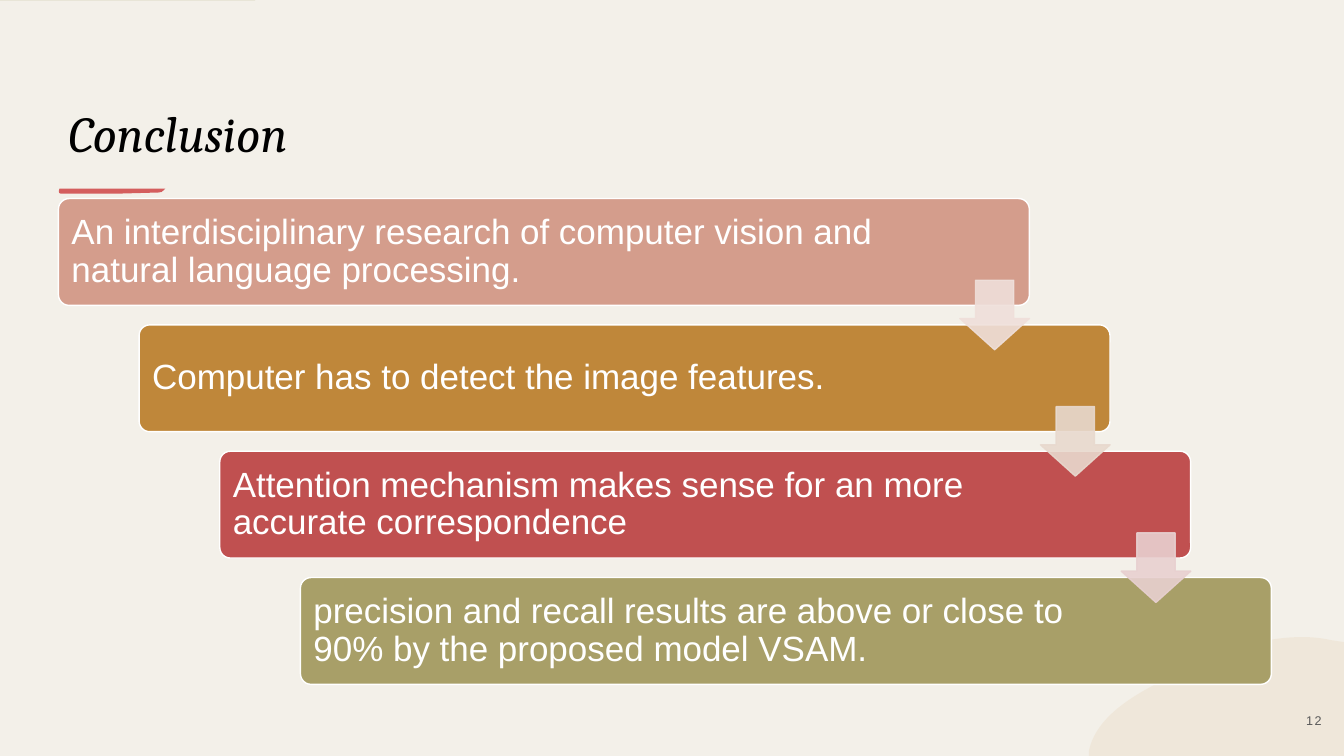
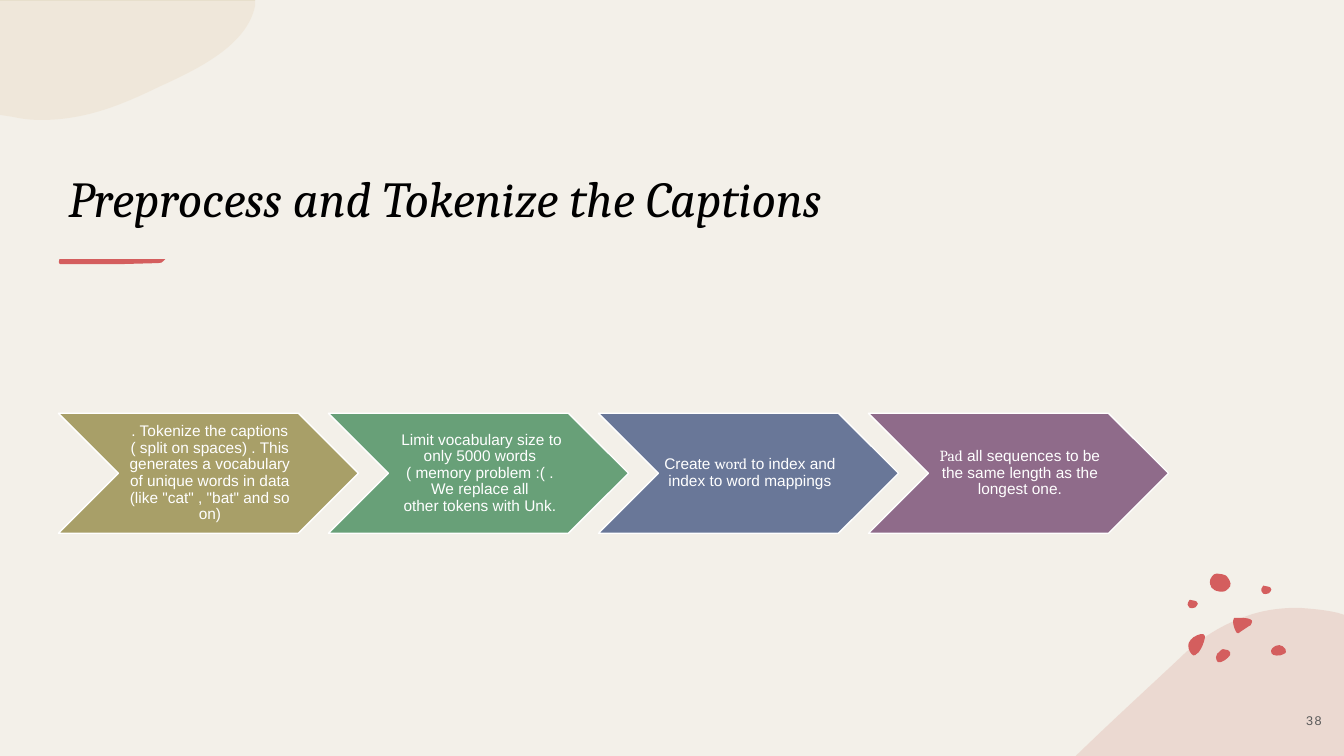
from dataclasses import dataclass

from lxml import etree
from pptx import Presentation
from pptx.dml.color import RGBColor
from pptx.enum import shapes, text
from pptx.oxml import ns
from pptx.util import Inches, Pt


@dataclass(frozen=True)
class Theme:
    """Colours, fonts and type sizes shared by the slides."""
    width: float = 13.33
    height: float = 7.5
    paper: str = "F3F0E9"
    ink: str = "000000"
    muted: str = "595959"
    white: str = "FFFFFF"
    accent: str = "D45E5E"
    sand: str = "E7CFAF"
    edge: str = "DCD9C3"
    blush: str = "E5C4BA"
    head: str = "Cambria"
    body: str = "Arial"
    title_size: float = 36
    bar_size: float = 25
    step_size: float = 11
    number_size: float = 9


T = Theme()
NBSP = chr(160)

CORNER = [(0, 0), (2.53, 0), (2.53, 0.06), (2.45, 0.44, 2, 0.67, 1.58, 0.86),
          (1.23, 1.03, 0.86, 1.19, 0.41, 1.19),
          (0.31, 1.19, 0.22, 1.18, 0.13, 1.16), (0, 1.14)]
HILL = [(2.21, 0), (2.34, 0.01, 2.47, 0.02, 2.6, 0.05), (2.66, 0.07),
        (2.66, 1.47), (0, 1.47), (0.01, 1.46),
        (0.35, 1.13, 0.7, 0.81, 1.02, 0.51),
        (1.24, 0.29, 1.47, 0.16, 1.7, 0.08), (1.87, 0.02, 2.04, 0, 2.21, 0)]
STROKE = [(0.01, 0), (0.3, 0), (1.06, 0),
          (1.03, 0.01, 1.05, 0.04, 0.99, 0.04), (0.62, 0.05), (0.02, 0.05),
          (0, 0.05, 0, 0.01, 0.01, 0)]
PEBBLE = [(0, 0.05), (0, 0.05, 0, 0.01, 0.02, 0),
          (0.04, 0, 0.05, 0, 0.07, 0.01), (0.08, 0.01, 0.1, 0.02, 0.1, 0.04),
          (0.1, 0.05, 0.09, 0.06, 0.08, 0.07),
          (0.08, 0.07, 0.08, 0.08, 0.06, 0.08),
          (0.05, 0.08, 0.03, 0.09, 0.02, 0.08), (0.01, 0.06, 0, 0.06, 0, 0.05)]
BEAN = [(0.07, 0), (0.09, 0, 0.1, 0, 0.12, 0.01),
        (0.14, 0.02, 0.15, 0.04, 0.14, 0.06),
        (0.12, 0.09, 0.06, 0.14, 0.02, 0.13), (0.01, 0.12, 0, 0.1, 0, 0.08),
        (0, 0.06, 0.02, 0.03, 0.04, 0.02), (0.05, 0.01, 0.06, 0, 0.07, 0)]
LEAF = [(0.12, 0), (0.14, 0, 0.16, 0, 0.16, 0.02),
        (0.16, 0.03, 0.16, 0.03, 0.16, 0.04),
        (0.15, 0.09, 0.13, 0.14, 0.1, 0.18),
        (0.08, 0.2, 0.05, 0.23, 0.03, 0.2), (0, 0.17, -0.01, 0.12, 0, 0.09),
        (0.01, 0.06, 0.03, 0.05, 0.05, 0.03), (0.06, 0.03, 0.09, 0, 0.12, 0)]
SEED = [(0.08, 0), (0.1, 0, 0.13, 0.02, 0.14, 0.04),
        (0.15, 0.06, 0.15, 0.08, 0.12, 0.09), (0.09, 0.11, 0.01, 0.11, 0, 0.08),
        (-0.01, 0.06, 0, 0.04, 0.01, 0.03), (0.03, 0.01, 0.05, 0, 0.08, 0)]
STONE = [(0.01, 0.12), (0, 0.12, -0.01, 0.06, 0.02, 0.03),
         (0.04, 0.01, 0.04, 0, 0.07, 0), (0.1, 0, 0.14, 0.01, 0.16, 0.02),
         (0.18, 0.04, 0.22, 0.09, 0.2, 0.13),
         (0.17, 0.16, 0.16, 0.18, 0.12, 0.18),
         (0.09, 0.18, 0.04, 0.17, 0.03, 0.15),
         (0.01, 0.14, 0.01, 0.13, 0.01, 0.12)]
WEDGE = [(0.05, 0), (0.11, 0, 0.22, 0, 0.18, 0.06),
         (0.18, 0.07, 0.17, 0.08, 0.16, 0.08),
         (0.13, 0.1, 0.1, 0.12, 0.07, 0.14),
         (0.06, 0.15, 0.05, 0.16, 0.04, 0.15),
         (0.04, 0.15, 0.03, 0.14, 0.03, 0.14),
         (0.01, 0.1, 0, 0.07, 0, 0.03), (0, 0.02, 0, 0.01, 0.01, 0)]
SPECKLES = [(BEAN, 0.28, 0.75), (LEAF, 0.01, 0.6), (SEED, 0.83, 0.71),
            (STONE, 0.22, 0), (PEBBLE, 0.73, 0.12), (PEBBLE, 0, 0.26),
            (WEDGE, 0.45, 0.44)]

BARS = [
    (f"An interdisciplinary research of computer{NBSP}vision and natural language processing.",
     "D49D8C", "EFDFDA"),
    (f"Computer{NBSP}has to detect the image features.", "BF873A", "E8D9CE"),
    (f"Attention mechanism{NBSP}makes sense for an more accurate correspondence",
     "C05050", "E8D0D0"),
    ("precision and recall results are above or close to 90% by the "
     f"proposed{NBSP}model VSAM.", "A89F68", None),
]
STEPS = [
    ([(". Tokenize the captions ( split on spaces) . This generates a vocabulary "
       f"of unique{NBSP}words in data (like \"cat\" , \"bat\" and so on)", T.body)], "A89F68"),
    ([(NBSP, T.head),
      ("Limit vocabulary size to only 5000 words ( memory problem :( . "
       f"We replace all other{NBSP}tokens with Unk.", T.body)], "68A078"),
    ([("Create ", T.body), ("word", T.head),
      (" to index and index to word mappings", T.body)], "697798"),
    ([("Pad", T.head),
      (" all sequences to be the same length as the longest one.", T.body)], "8F6B8A"),
]


def paint(sp, colour, line=None, alpha=100):
    """Fill and outline a shape, optionally see-through."""
    sp.shadow.inherit = False
    sp.fill.solid()
    sp.fill.fore_color.rgb = RGBColor.from_string(colour)
    if line:
        sp.line.color.rgb = RGBColor.from_string(line)
        sp.line.width = Pt(1)
    else:
        sp.line.fill.background()
    if alpha < 100:
        for clr in sp._element.spPr.iter(ns.qn("a:srgbClr")):
            etree.SubElement(clr, ns.qn("a:alpha"), val=str(alpha * 1000))


def preset(s, kind, box, adjust=()):
    """Add a preset shape in a box given in inches."""
    sp = s.shapes.add_shape(kind, *map(Inches, box))
    for i, value in enumerate(adjust):
        sp.adjustments[i] = value
    return sp


def bend(sp, outline):
    """Join the lines through each curve's control points into one curve."""
    lines = iter(list(sp._element.spPr.iter(ns.qn("a:lnTo"))))
    for seg in outline[1:]:
        group = [next(lines) for _ in range(len(seg) // 2)]
        if len(group) == 3:
            curve = etree.Element(ns.qn("a:cubicBezTo"))
            group[0].addprevious(curve)
            for line in group:
                curve.append(line[0])
                line.getparent().remove(line)


def blob(s, outline, left, top, colour, alpha=100, turn=1):
    """Draw an outline from its origin; turn -1 rotates it by half a turn."""
    pts = [(Inches(left + turn * x), Inches(top + turn * y))
           for seg in outline for x, y in zip(seg[::2], seg[1::2])]
    fb = s.shapes.build_freeform(*pts[0])
    fb.add_line_segments(pts[1:], close=True)
    sp = fb.convert_to_shape()
    bend(sp, outline)
    paint(sp, colour, alpha=alpha)


def write(sp, runs, size, colour, align=text.PP_ALIGN.LEFT, insets=None,
          anchor=text.MSO_ANCHOR.MIDDLE, spacing=1.0):
    """Write one paragraph of (text, font) runs and return it."""
    tf = sp.text_frame
    tf.word_wrap = True
    tf.vertical_anchor = anchor
    if insets:
        (tf.margin_left, tf.margin_top,
         tf.margin_right, tf.margin_bottom) = map(Inches, insets)
    p = tf.paragraphs[0]
    p.alignment = align
    p.line_spacing = spacing
    p.font.size = Pt(size)
    p.font.color.rgb = RGBColor.from_string(colour)
    for words, font in runs:
        r = p.add_run()
        r.text = words
        r.font.name = font
    return p


def new_slide(prs):
    """Add a blank slide whose paper leaves a thin corner edge at the top."""
    s = prs.slides.add_slide(prs.slide_layouts[6])
    s.background.fill.solid()
    s.background.fill.fore_color.rgb = RGBColor.from_string(T.paper)
    blob(s, CORNER, 0, 0, T.edge, 50)
    paint(preset(s, shapes.MSO_SHAPE.RECTANGLE, (0, 0.01, T.width, T.height)), T.paper)
    return s


def heading(s, words, box, stroke_top):
    """Place the italic title and the brush stroke under it."""
    sp = s.shapes.add_textbox(*map(Inches, box))
    p = write(sp, [(words, T.head)], T.title_size, T.ink, anchor=text.MSO_ANCHOR.BOTTOM)
    p.font.italic = True
    blob(s, STROKE, box[0], stroke_top, T.accent)


def page_number(s, number):
    """Place the page number in the bottom right corner."""
    sp = s.shapes.add_textbox(*map(Inches, (12.74, 6.95, 0.58, 0.4)))
    p = write(sp, [(str(number), T.body)], T.number_size, T.muted, text.PP_ALIGN.CENTER)
    p.runs[0]._r.get_or_add_rPr().set("spc", "110")


def staircase(s, box):
    """Lay the bars down the box as stairs joined by arrows."""
    left, top, width, height = box
    bar_w, bar_h, arrow = 9.63, 1.06, 0.69
    dx = (width - bar_w) / (len(BARS) - 1)
    dy = (height - bar_h) / (len(BARS) - 1)
    for i, (words, fill, _) in enumerate(BARS):
        sp = preset(s, shapes.MSO_SHAPE.ROUNDED_RECTANGLE,
                    (left + i * dx, top + i * dy, bar_w, bar_h), [0.1])
        paint(sp, fill, T.white)
        write(sp, [(words, T.body)], T.bar_size, T.white,
              insets=(0.1, 0.1, 1.37, 0.1), spacing=0.9)
    for i, (_, _, tint) in enumerate(BARS[:-1]):
        sp = preset(s, shapes.MSO_SHAPE.DOWN_ARROW,
                    (left + i * dx + bar_w - arrow, top + i * dy + 0.81, arrow, arrow),
                    [0.55, 0.45])
        paint(sp, tint, tint, alpha=90)


def chevrons(s, box):
    """Lay the steps across the box as chevrons that overlap by a tenth."""
    left, top, width, height = box
    step_w = width / (1 + 0.9 * (len(STEPS) - 1))
    for i, (runs, fill) in enumerate(STEPS):
        sp = preset(s, shapes.MSO_SHAPE.CHEVRON,
                    (left + 0.9 * i * step_w, top, step_w, height))
        paint(sp, fill, T.white)
        write(sp, runs, T.step_size, T.white, text.PP_ALIGN.CENTER,
              insets=(0.05, 0.02, 0.02, 0.02), spacing=0.9)


def speckles(s, left, top):
    """Scatter the red speckles from a top left corner."""
    for outline, x, y in SPECKLES:
        blob(s, outline, left + x, top + y, T.accent)


def conclusion(prs):
    """Build the conclusion slide."""
    s = new_slide(prs)
    heading(s, "Conclusion", (0.58, 0.76, 11.02, 0.9), 1.87)
    blob(s, CORNER, T.width, T.height + 0.01, T.sand, 25, turn=-1)
    staircase(s, (0.58, 1.97, 12.03, 4.82))
    page_number(s, 12)


def preprocessing(prs):
    """Build the caption preprocessing slide."""
    s = new_slide(prs)
    blob(s, CORNER, 0, 0, T.sand, 25)
    heading(s, "Preprocess and Tokenize the Captions", (0.58, 0.86, 11.02, 1.45), 2.57)
    blob(s, HILL, 10.67, 6.03, T.blush, 50)
    speckles(s, 11.78, 5.69)
    chevrons(s, (0.58, 4.1, 11.01, 1.19))
    page_number(s, 38)


def main():
    """Build and save the presentation."""
    prs = Presentation()
    prs.slide_width, prs.slide_height = Inches(T.width), Inches(T.height)
    conclusion(prs)
    preprocessing(prs)
    prs.save("out.pptx")


if __name__ == "__main__":
    main()
